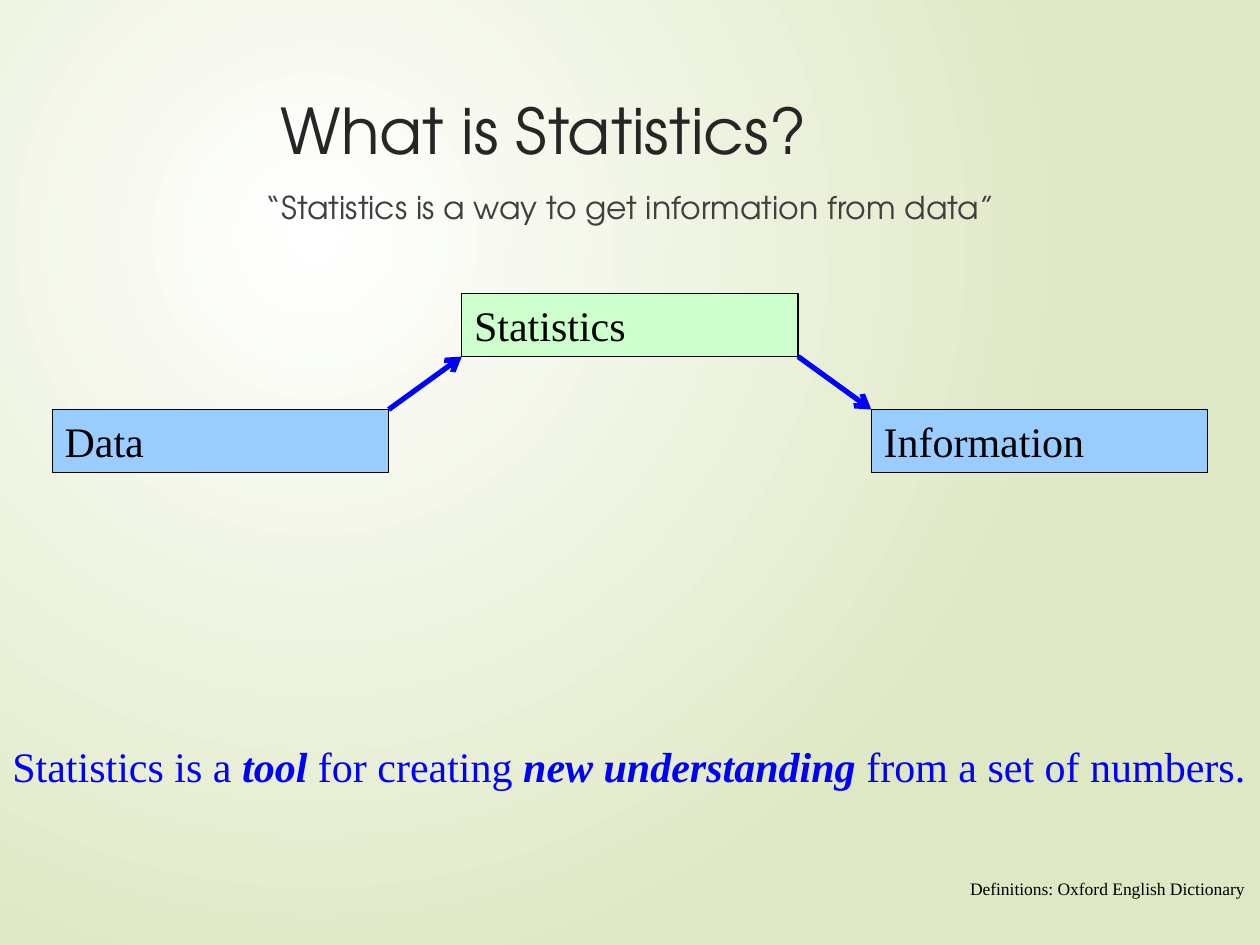
import pptx
import pptx.util
import pptx.dml.color
import pptx.enum.shapes
import pptx.enum.text
import pptx.oxml
import pptx.oxml.ns
from lxml import etree

Inches, Pt = pptx.util.Inches, pptx.util.Pt
RGB = pptx.dml.color.RGBColor
ALIGN = pptx.enum.text.PP_ALIGN
ANCHOR = pptx.enum.text.MSO_ANCHOR
qn = pptx.oxml.ns.qn

WHITE, SAGE = RGB(255, 255, 255), RGB(0xDF, 0xE8, 0xC4)
BLACK, BLUE = RGB(0, 0, 0), RGB(0, 0, 255)
SKY, MINT = RGB(0x99, 0xCC, 0xFF), RGB(0xCC, 0xFF, 0xCC)
CHARCOAL, GREY = RGB(0x26, 0x26, 0x26), RGB(0x40, 0x40, 0x40)
SANS, SERIF = "TeX Gyre Adventor", "Times New Roman"

# Content: each text is a list of (words, emphasised)
TITLE = [("What is Statistics?", False)]
QUOTE = [("“Statistics is a way to get information from data”", False)]
SUMMARY = [
    ("Statistics is a ", False), ("tool", True), (" for creating ", False),
    ("new understanding", True), (" from a set of numbers.", False),
]
CREDIT = [("Definitions: Oxford English Dictionary", False)]
STEPS = [("Data", SKY, 1), ("Statistics", MINT, 0), ("Information", SKY, 1)]  # label, fill, row

# Grid of the three-step diagram, in inches
SLIDE_W, SLIDE_H = 10, 7.5
STEP_W, STEP_H, COLUMN = 2.67, 0.5, 3.25
STEP_LEFT = (SLIDE_W - STEP_W - 2 * COLUMN) / 2
ROW_TOPS = [2.33, 3.25]


def write(frame, runs, font, size, color, align=ALIGN.LEFT, anchor=ANCHOR.TOP):
    frame.word_wrap = True
    frame.vertical_anchor = anchor
    paragraph = frame.paragraphs[0]
    paragraph.alignment = align
    paragraph.font.name, paragraph.font.size = font, Pt(size)
    paragraph.font.color.rgb = color
    for words, emphasised in runs:
        run = paragraph.add_run()
        run.text = words
        if emphasised:
            run.font.bold = run.font.italic = True


def add_text(slide, box, *style, **layout):
    frame = slide.shapes.add_textbox(*map(Inches, box)).text_frame
    write(frame, *style, **layout)
    return frame


def add_background(slide):
    fill = slide.background.fill
    fill.gradient()
    for stop, color in zip(fill.gradient_stops, (WHITE, SAGE)):
        stop.color.rgb = color
    # Radial gradient centred a quarter of the way in
    linear = next(slide.element.iter(qn("a:lin")))
    radial = etree.Element(qn("a:path"), path="circle")
    etree.SubElement(radial, qn("a:fillToRect"), l="50000", t="50000", r="100000", b="100000")
    linear.getparent().replace(linear, radial)


def add_step(slide, column, label, color, row):
    box = (STEP_LEFT + column * COLUMN, ROW_TOPS[row], STEP_W, STEP_H)
    step = slide.shapes.add_shape(
        pptx.enum.shapes.MSO_SHAPE.RECTANGLE, *map(Inches, box))
    step.shadow.inherit = False
    step.fill.solid()
    step.fill.fore_color.rgb = color
    step.line.color.rgb = BLACK
    step.line.width = Pt(0.75)
    write(step.text_frame, [(label, False)], SERIF, 24, BLACK, anchor=ANCHOR.MIDDLE)
    return step


def add_arrow(slide, start, end):
    """Join the facing corners of two steps."""
    rising = start.top > end.top
    start_y = start.top if rising else start.top + start.height
    end_y = end.top + end.height if rising else end.top
    arrow = slide.shapes.add_connector(
        pptx.enum.shapes.MSO_CONNECTOR.STRAIGHT,
        start.left + start.width, start_y, end.left, end_y)
    arrow.line.color.rgb = BLUE
    arrow.line.width = Pt(3)
    etree.SubElement(arrow.line._get_or_add_ln(), qn("a:tailEnd"), type="arrow")
    etree.SubElement(arrow.element.spPr, qn("a:effectLst"))


def main():
    deck = pptx.Presentation()
    deck.slide_width, deck.slide_height = Inches(SLIDE_W), Inches(SLIDE_H)
    slide = deck.slides.add_slide(deck.slide_layouts[6])
    add_background(slide)

    # Heading and quotation
    add_text(slide, (2.13, 0.68, 7.21, 1.4), TITLE, SANS, 36, CHARCOAL)
    add_text(slide, (0.5, 1.44, 9, 0.5), QUOTE, SANS, 18, GREY, align=ALIGN.CENTER)

    # Diagram
    steps = [add_step(slide, column, *step) for column, step in enumerate(STEPS)]
    for start, end in zip(steps, steps[1:]):
        add_arrow(slide, start, end)

    # Credit and summary
    credit = add_text(slide, (7.6, 6.92, 2.41, 0.27), CREDIT, SERIF, 10, BLACK,
                      anchor=ANCHOR.MIDDLE)
    credit.word_wrap = False
    add_text(slide, (0, 5.83, SLIDE_W, 0.5), SUMMARY, SERIF, 24, BLUE, anchor=ANCHOR.MIDDLE)

    deck.save("out.pptx")


if __name__ == "__main__":
    main()
